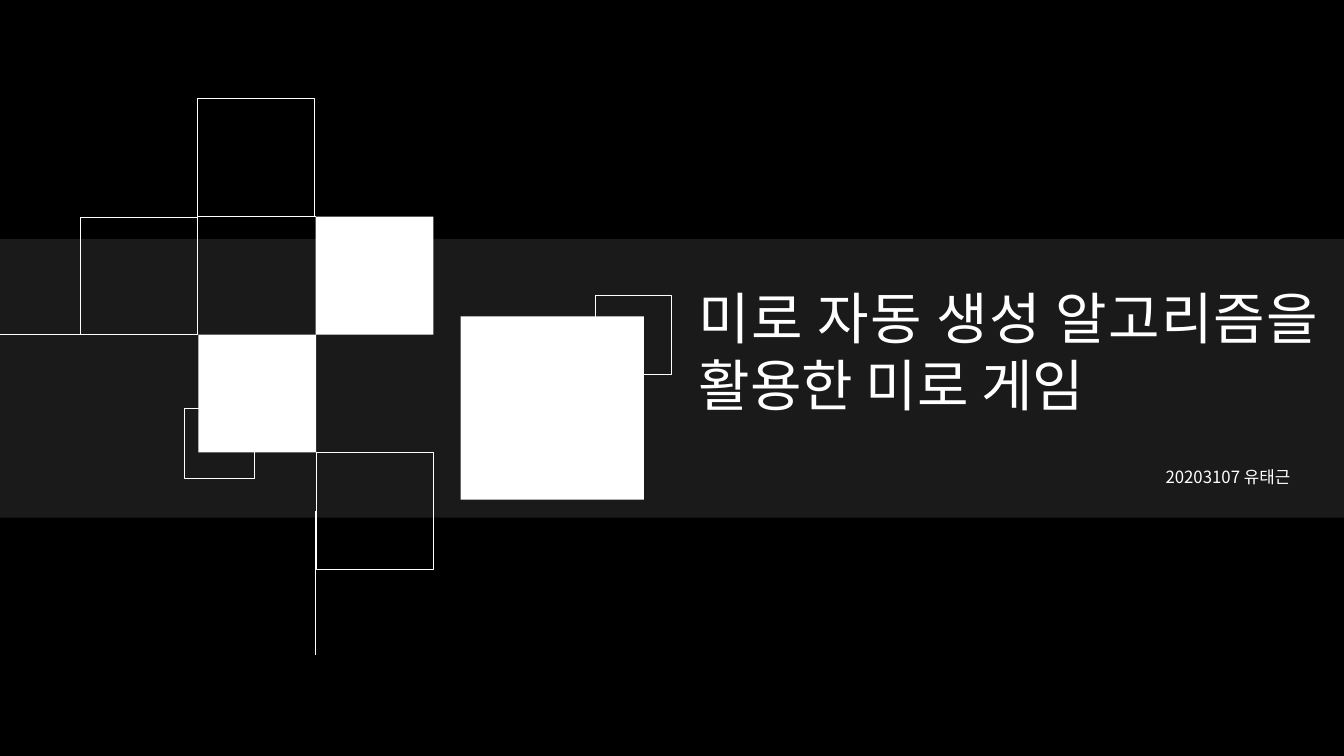
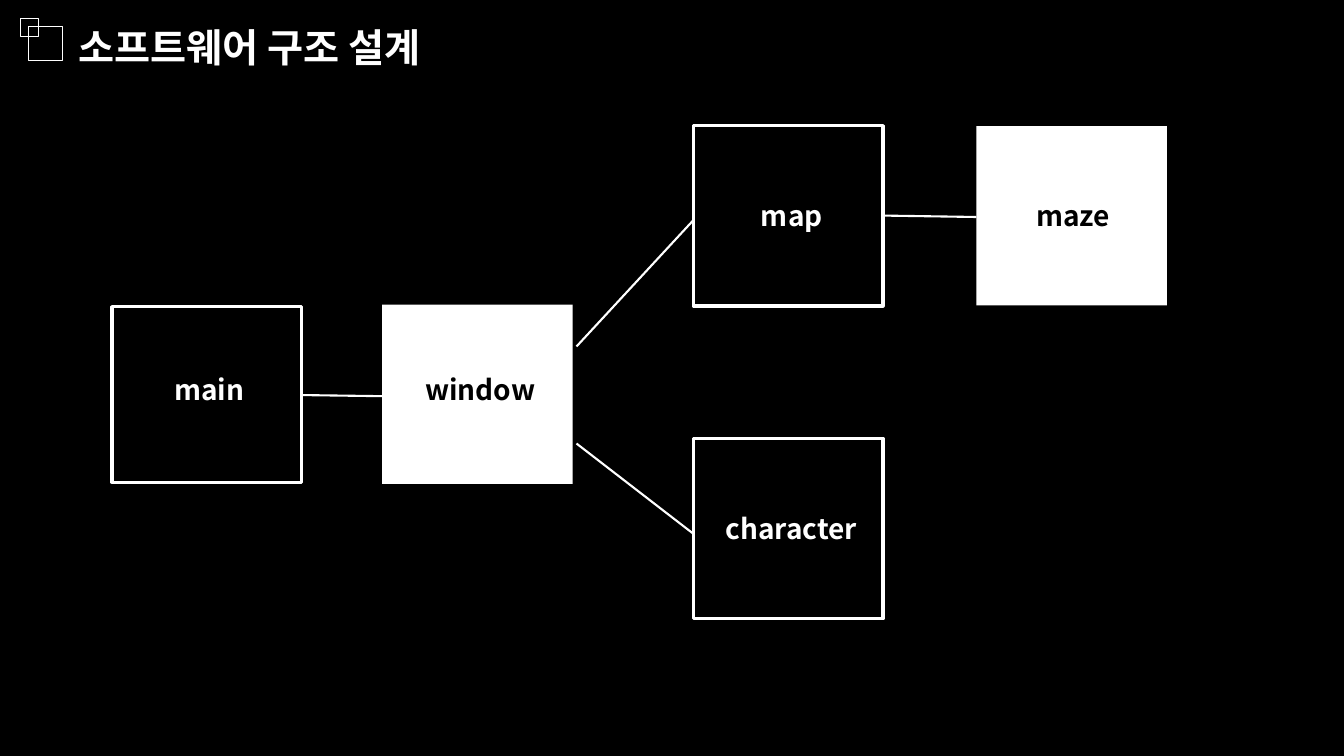
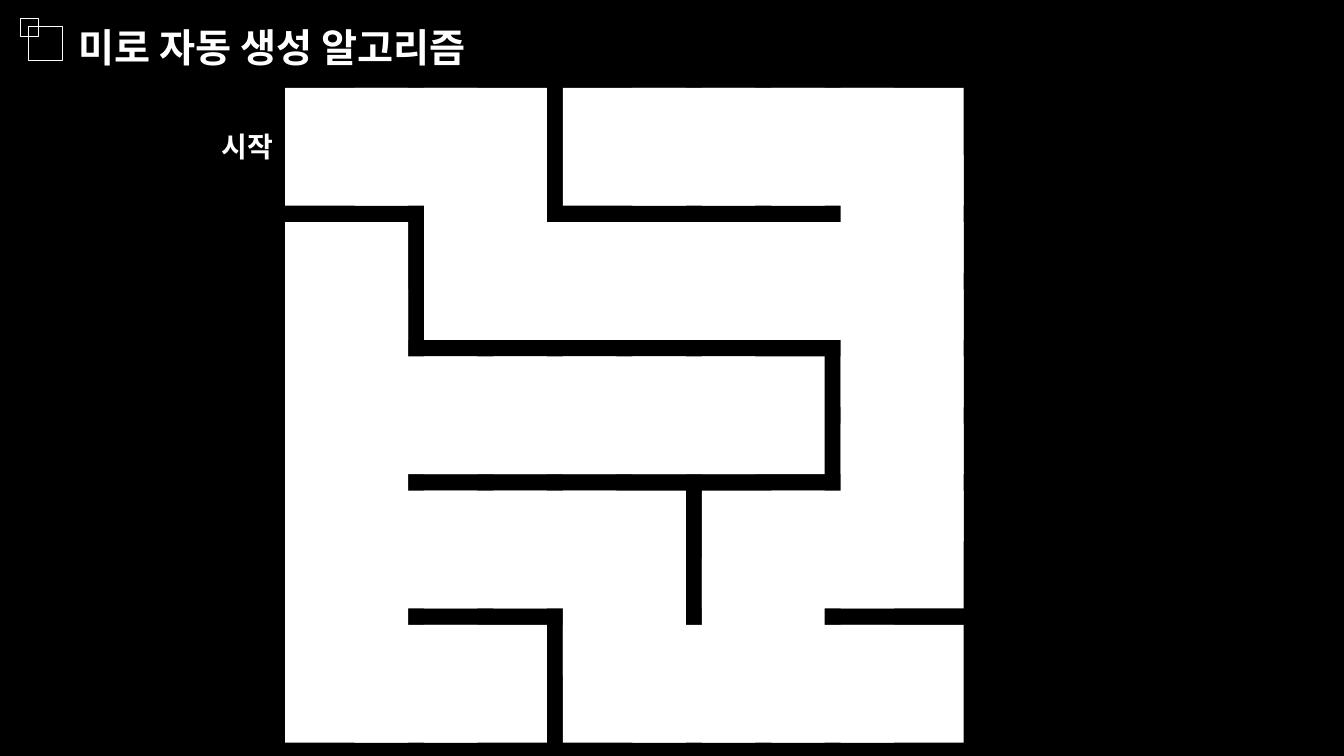
from dataclasses import dataclass
from typing import NamedTuple

from pptx import Presentation
from pptx.dml.color import RGBColor
from pptx.enum import shapes, text
from pptx.oxml import ns, xmlchemy
from pptx.util import Pt

BLACK = RGBColor(0, 0, 0)
WHITE = RGBColor(255, 255, 255)
FONT = "Noto Sans CJK SC"
HAIRLINE = 0.25


class Box(NamedTuple):
    x: float
    y: float
    w: float
    h: float


class Segment(NamedTuple):
    x1: float
    y1: float
    x2: float
    y2: float


@dataclass(frozen=True)
class Node:
    label: str
    box: Box
    label_x: float
    label_y: float
    solid: bool = False


# Shared drawing functions
def new_slide(prs):
    s = prs.slides.add_slide(prs.slide_layouts[6])
    s.background.fill.solid()
    s.background.fill.fore_color.rgb = BLACK
    return s


def lengths(values) -> list:
    return [Pt(v) for v in values]


def add_solid(s, box: Box, alpha: int = 100):
    sp = s.shapes.add_shape(shapes.MSO_SHAPE.RECTANGLE, *lengths(box))
    sp.shadow.inherit = False
    sp.fill.solid()
    sp.fill.fore_color.rgb = WHITE
    sp.line.fill.background()
    if alpha < 100:
        clr = sp._element.spPr.find(".//" + ns.qn("a:srgbClr"))
        node = xmlchemy.OxmlElement("a:alpha")
        node.set("val", str(alpha * 1000))
        clr.append(node)


def add_outline(s, box: Box, width: float = HAIRLINE):
    sp = s.shapes.add_shape(shapes.MSO_SHAPE.RECTANGLE, *lengths(box))
    sp.shadow.inherit = False
    sp.fill.background()
    sp.line.color.rgb = WHITE
    sp.line.width = Pt(width)


def add_line(s, seg: Segment, width: float):
    sp = s.shapes.add_connector(shapes.MSO_CONNECTOR.STRAIGHT, *lengths(seg))
    sp.line.color.rgb = WHITE
    sp.line.width = Pt(width)
    sp._element.spPr.append(xmlchemy.OxmlElement("a:effectLst"))


def add_text(s, box: Box, content: str, size: float, bold: bool = True,
             color: RGBColor = WHITE, align=None, inset: bool = True):
    tf = s.shapes.add_textbox(*lengths(box)).text_frame
    frame = {"word_wrap": True, "auto_size": text.MSO_AUTO_SIZE.SHAPE_TO_FIT_TEXT}
    if not inset:
        frame.update({f"margin_{side}": 0 for side in ("left", "top", "right", "bottom")})
    for name, value in frame.items():
        setattr(tf, name, value)
    p = tf.paragraphs[0]
    p.alignment = align
    r = p.add_run()
    r.text = content
    for name, value in {"name": FONT, "size": Pt(size), "bold": bold}.items():
        setattr(r.font, name, value)
    r.font.color.rgb = color
    ea = xmlchemy.OxmlElement("a:ea")
    ea.set("typeface", FONT)
    r.font._element.find(ns.qn("a:latin")).addnext(ea)


def add_heading(s, title: str):
    add_outline(s, Box(20, 18.7, 24.5, 24.5))
    add_outline(s, Box(14.2, 13.2, 13, 12.4))
    add_text(s, Box(49, 13, 462, 41), title, 28)


# Cover
BAND = Box(0, 170.6, 960, 199.2)
COVER_SOLIDS = (
    Box(225.5, 154.8, 84.2, 84.2),
    Box(141.7, 239, 84.2, 84.2),
    Box(329, 225.9, 131, 131),
)
COVER_OUTLINES = (
    Box(225.7, 322.8, 83.5, 83.8),
    Box(57.3, 155, 83.8, 84),
    Box(131.7, 291.4, 50, 50),
    Box(141, 70.3, 83.8, 84.2),
    Box(425.2, 210.8, 54.4, 56.5),
)
COVER_LINES = (
    Segment(141, 154.8, 225.5, 154.8),
    Segment(99.4, 239, 0, 239),
    Segment(225.4, 365, 225.4, 468),
)


def build_cover(prs):
    s = new_slide(prs)
    add_solid(s, BAND, alpha=10)
    for box in COVER_SOLIDS:
        add_solid(s, box)
    for box in COVER_OUTLINES:
        add_outline(s, box)
    for seg in COVER_LINES:
        add_line(s, seg, 0.5)
    add_text(s, Box(602, 333.4, 319.6, 14.5), "20203107 유태근", 12, bold=False,
             align=text.PP_ALIGN.RIGHT, inset=False)
    add_text(s, Box(492, 198.7, 457, 104.4), "미로 자동 생성 알고리즘을 활용한 미로 게임",
             40, bold=False, align=text.PP_ALIGN.JUSTIFY)


# Software structure
NODES = (
    Node("window", Box(273, 217.5, 136, 128.2), 296.6, 262.8, solid=True),
    Node("main", Box(80, 219, 135.5, 125.5), 117.4, 262.8),
    Node("map", Box(495.3, 89.7, 135.5, 128.9), 536.5, 138.2),
    Node("character", Box(495.3, 313.2, 135.5, 128.9), 511.2, 361.6),
    Node("maze", Box(697.5, 90, 136, 128.2), 733, 138.2, solid=True),
)
LINKS = (
    Segment(216, 282.2, 273, 283),
    Segment(411.8, 316.8, 495.3, 381.3),
    Segment(411.8, 247.5, 495, 157.6),
    Segment(630.7, 154, 697.5, 155),
)


def build_structure(prs):
    s = new_slide(prs)
    add_heading(s, "소프트웨어 구조 설계")
    for n in NODES:
        if n.solid:
            add_solid(s, n.box)
        else:
            add_outline(s, n.box, 2.25)
        label_box = Box(n.label_x, n.label_y, 104.4 if n.solid else 152, 31.5)
        add_text(s, label_box, n.label, 20, color=BLACK if n.solid else WHITE)
    for seg in LINKS:
        add_line(s, seg, 1.5)


# Maze: "1" marks an open passage to the right or downwards
MAZE_X, MAZE_Y = 203.7, 62.8
TILE_W, TILE_H = 87.8, 84.2
STEP_X, STEP_Y = 99.2, 95.9
GRID = 5
OPEN_RIGHT = ("1011", "0111", "1110", "1101", "1011")
OPEN_DOWN = ("01001", "10001", "10001", "10110")


def add_tile(s, row: float, col: float):
    add_solid(s, Box(MAZE_X + col * STEP_X, MAZE_Y + row * STEP_Y, TILE_W, TILE_H))


def add_passages(s, rows: tuple, down: float, right: float):
    for row, flags in enumerate(rows):
        for col, flag in enumerate(flags):
            if flag == "1":
                add_tile(s, row + down, col + right)


def build_maze(prs):
    s = new_slide(prs)
    add_heading(s, "미로 자동 생성 알고리즘")
    for row in range(GRID):
        for col in range(GRID):
            add_tile(s, row, col)
    add_text(s, Box(151.5, 89.3, 152, 31.5), "시작", 20)
    add_passages(s, OPEN_RIGHT, 0, 0.5)
    add_passages(s, OPEN_DOWN, 0.5, 0)


prs = Presentation()
prs.slide_width, prs.slide_height = Pt(960), Pt(540)
for build in (build_cover, build_structure, build_maze):
    build(prs)
prs.save("out.pptx")
